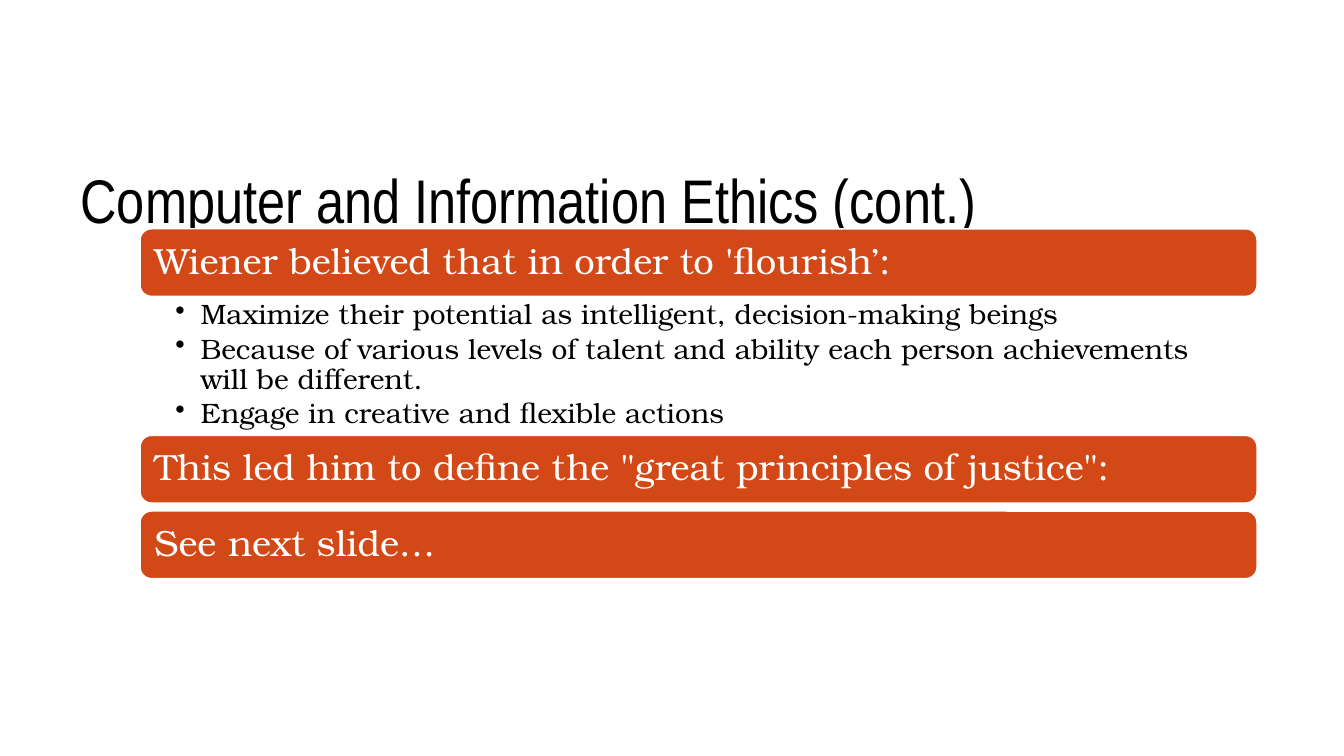
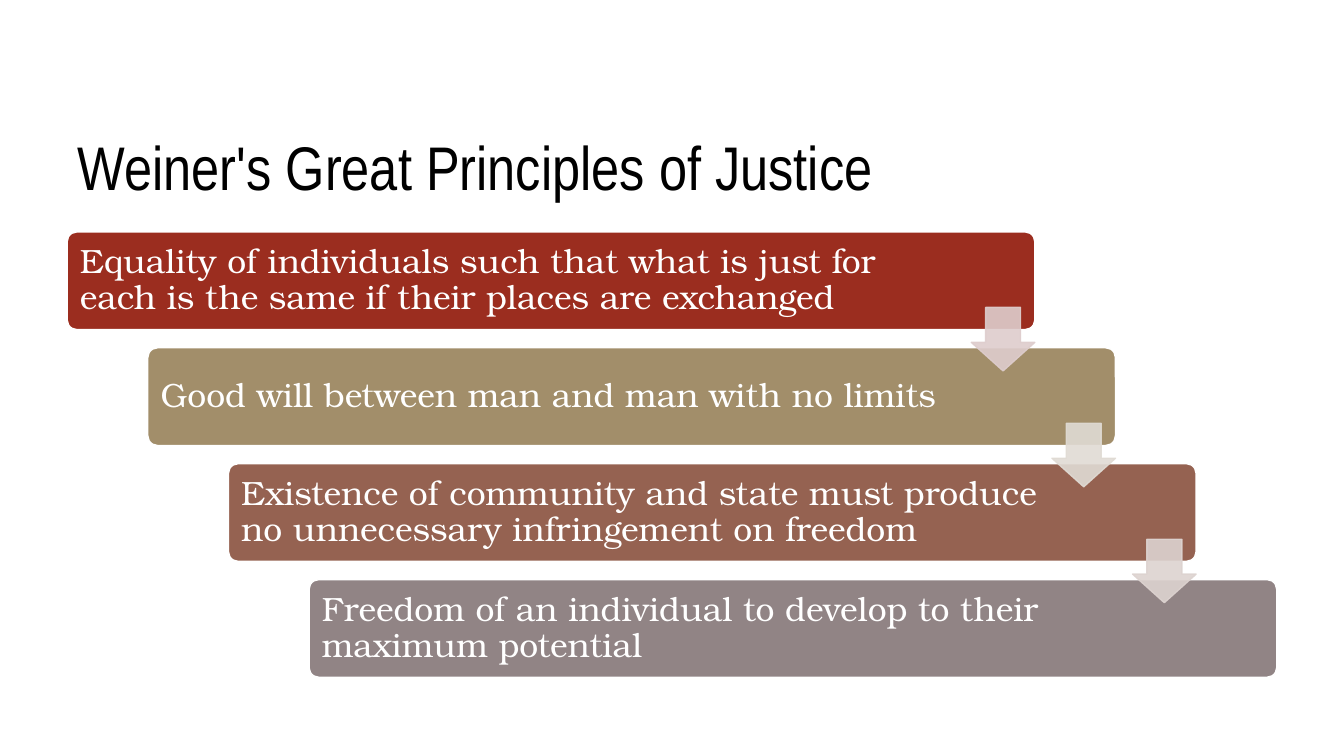
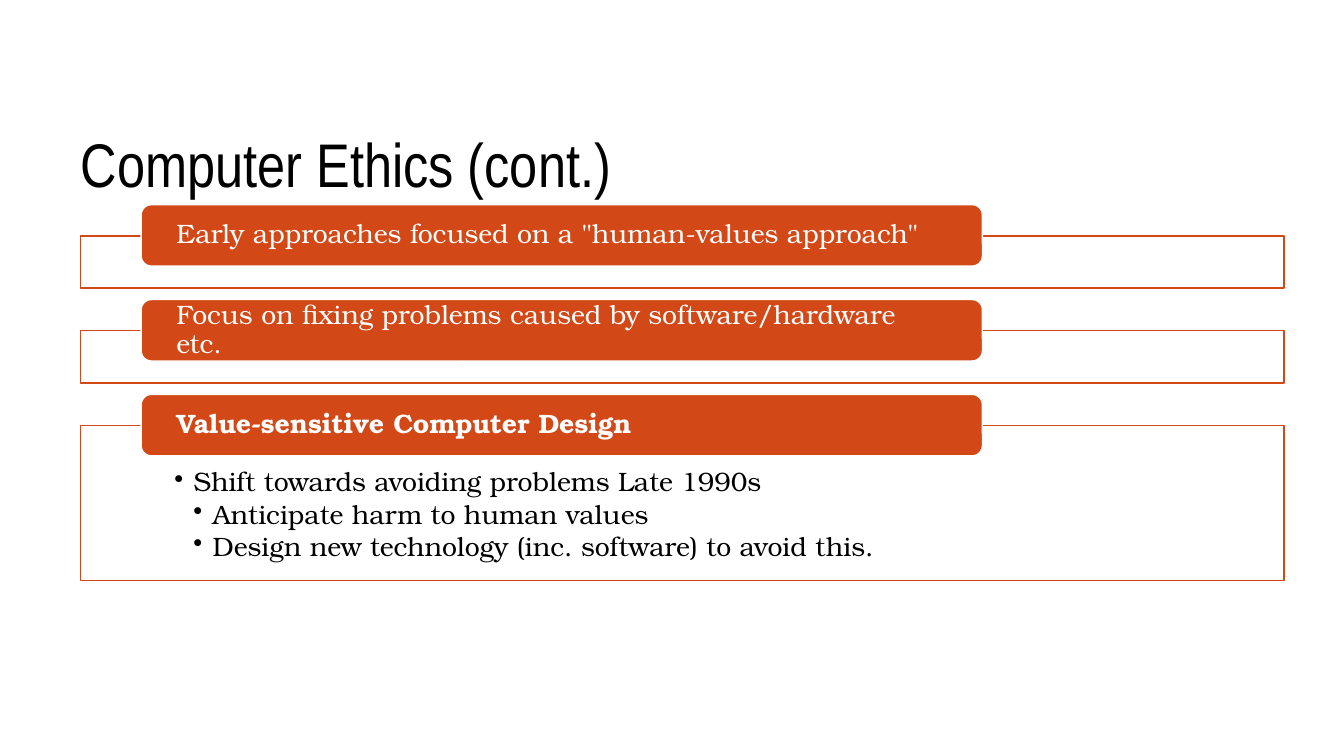
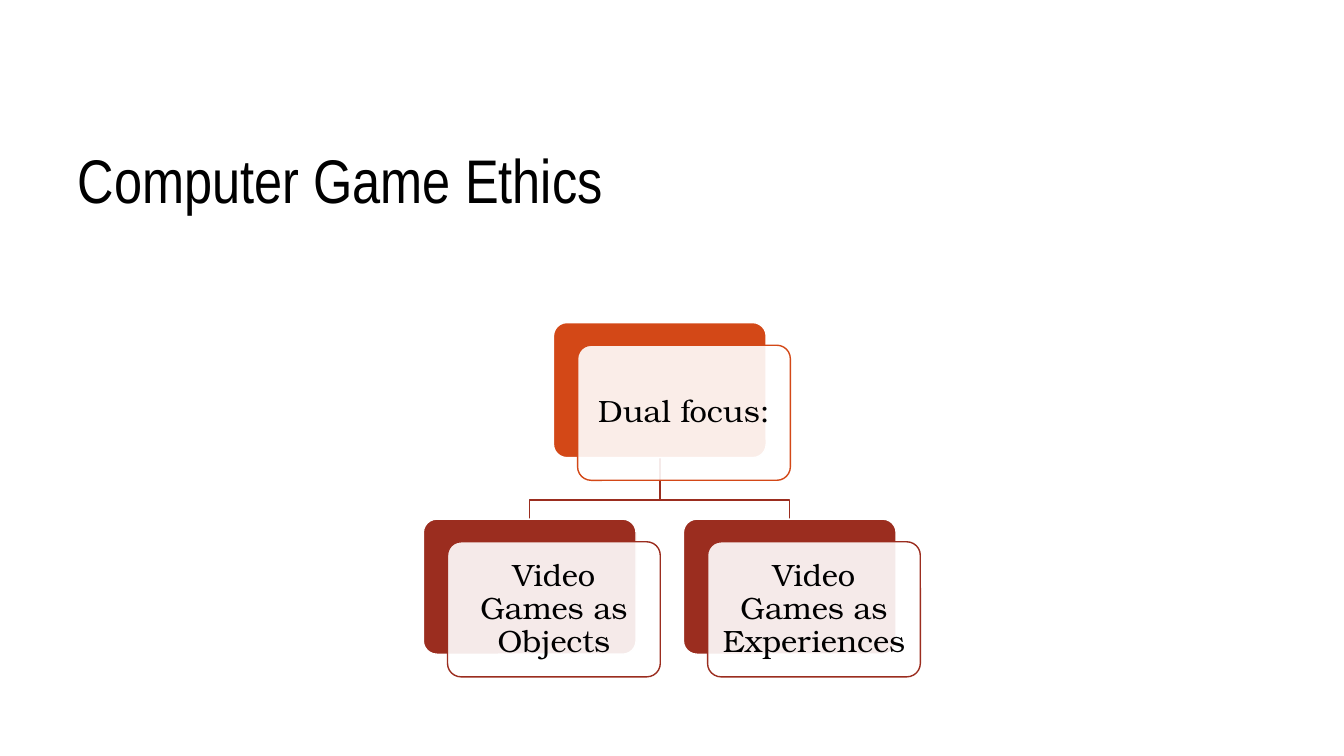
import lxml.etree
import pptx
import pptx.dml.color
import pptx.enum.shapes
import pptx.enum.text
import pptx.oxml.ns
import pptx.util

SHAPE = pptx.enum.shapes.MSO_SHAPE
ANCHOR = pptx.enum.text.MSO_ANCHOR
ALIGN = pptx.enum.text.PP_ALIGN
qn = pptx.oxml.ns.qn

SLIDE_WIDTH = pptx.util.Inches(13.33)
SLIDE_HEIGHT = pptx.util.Inches(7.5)
TITLE_FONT, BODY_FONT = "Arial Narrow", "TeX Gyre Bonum"
BLACK, WHITE, ORANGE, RED = "000000", "FFFFFF", "D34817", "9B2D1F"


def across(percent):
    return round(SLIDE_WIDTH * percent / 100)


def down(percent):
    return round(SLIDE_HEIGHT * percent / 100)


def place(left, top, width, height):
    """Turn percentages of the slide's size into lengths."""
    return across(left), down(top), across(width), down(height)


def paint(fill, color, opacity=100):
    fill.solid()
    fill.fore_color.rgb = pptx.dml.color.RGBColor.from_string(color)
    if opacity < 100:
        for node in fill._xPr.iter(qn("a:srgbClr")):
            alpha = lxml.etree.SubElement(node, qn("a:alpha"))
            alpha.set("val", str(opacity * 1000))


def add_block(page, kind, area, fill, line=WHITE, opacity=100, line_opacity=100, corner=None):
    block = page.shapes.add_shape(kind, *place(*area))
    block.shadow.inherit = False
    if corner is not None:
        block.adjustments[0] = corner
    paint(block.fill, fill, opacity)
    block.line.width = pptx.util.Pt(1)
    paint(block.line.fill, line, line_opacity)
    return block


def set_frame(box, insets, anchor):
    """Wrap the text; insets are left, top, right, bottom in inches."""
    frame = box.text_frame
    frame.word_wrap = True
    frame.vertical_anchor = anchor
    (frame.margin_left, frame.margin_top,
     frame.margin_right, frame.margin_bottom) = map(pptx.util.Inches, insets)
    return frame


def style(para, size, color, font=BODY_FONT, bold=False):
    for span in para.runs:
        span.font.name = font
        span.font.size = pptx.util.Pt(size)
        span.font.bold = bold
        span.font.color.rgb = pptx.dml.color.RGBColor.from_string(color)


def write(box, text, size, insets, color=WHITE, align=ALIGN.LEFT, bold=False):
    frame = set_frame(box, insets, ANCHOR.MIDDLE)
    frame.text = text
    para = frame.paragraphs[0]
    para.alignment = align
    para.line_spacing = 0.9
    style(para, size, color, bold=bold)


def write_bullets(box, items, size, insets, indent, gap):
    """Write (level, text) items, each level one indent deeper."""
    frame = set_frame(box, insets, ANCHOR.TOP)
    for index, (level, text) in enumerate(items):
        para = frame.add_paragraph() if index else frame.paragraphs[0]
        para.text = text
        properties = para._p.get_or_add_pPr()
        properties.set("marL", str(pptx.util.Inches(indent * level)))
        properties.set("indent", str(-pptx.util.Inches(indent)))
        lxml.etree.SubElement(properties, qn("a:buChar")).set("char", "•")
        para.alignment = ALIGN.LEFT
        para.line_spacing = 0.9
        para.space_after = pptx.util.Pt(gap)
        style(para, size, BLACK)


def add_title(page, text, area, anchor):
    box = page.shapes.add_textbox(*place(*area))
    frame = set_frame(box, (0, 0, 0, 0), anchor)
    frame.text = text
    style(frame.paragraphs[0], 44, BLACK, TITLE_FONT)


def build_flourish(page):
    add_title(page, "Computer and Information Ethics (cont.)", (6, 21.47, 86, 9.5), ANCHOR.TOP)
    left, width = 10.43, 83.1
    bars = [
        (30.27, "Wiener believed that in order to 'flourish’:"),
        (57.6, "This led him to define the \"great principles of justice\":"),
        (67.6, "See next slide…"),
    ]
    for top, text in bars:
        bar = add_block(page, SHAPE.ROUNDED_RECTANGLE, (left, top, width, 8.93), ORANGE)
        write(bar, text, 26, (0.11, 0.11, 0.11, 0.11))
    details = page.shapes.add_textbox(*place(left, 39.2, width, 18.4))
    write_bullets(details, [
        (1, "Maximize their potential as intelligent, decision-making beings"),
        (1, "Because of various levels of talent and ability each person achievements "
            "will be different."),
        (1, "Engage in creative and flexible actions"),
    ], 20, (0.35, 0.04, 0.2, 0.04), 0.25, 3)


def build_justice(page):
    add_title(page, "Weiner's Great Principles of Justice", (5.78, 8.8, 88.5, 18), ANCHOR.BOTTOM)
    steps = [
        ("9B2D1F", "DECDCD", "Equality of individuals such that what is just for each is "
                             "the same if their places are exchanged"),
        ("A28E6A", "E0DBD4", "Good will between man and man with no limits"),
        ("956251", "DDD3D0", "Existence of community and state must produce no unnecessary "
                             "infringement on freedom"),
        ("918485", None, "Freedom of an individual to develop to their maximum potential"),
    ]
    width, arrow_width = 72, 4.73
    arrows = []
    for index, (fill, arrow_fill, text) in enumerate(steps):
        left, top = 5 + 6 * index, 30.67 + 15.33 * index
        step = add_block(page, SHAPE.ROUNDED_RECTANGLE, (left, top, width, 12.93), fill,
                         corner=0.1)
        write(step, text, 24, (0.1, 0.1, 1.5, 0.1))
        if arrow_fill:
            arrows.append((arrow_fill, (left + width - arrow_width, top + 10, arrow_width, 8.4)))
    for fill, area in arrows:
        arrow = add_block(page, SHAPE.DOWN_ARROW, area, fill, fill, 90, 90, corner=0.55)
        arrow.adjustments[1] = 0.45


def build_approaches(page):
    add_title(page, "Computer Ethics (cont.)", (6, 16.67, 63, 9.5), ANCHOR.TOP)
    sections = [
        ("Early approaches focused on a \"human-values approach\"", 6.93, []),
        ("Focus on fixing problems caused by software/hardware etc.", 6.93, []),
        ("Value-sensitive Computer Design", 20.53, [
            (1, "Shift towards avoiding problems Late 1990s"),
            (2, "Anticipate harm to human values"),
            (2, "Design new technology (inc. software) to avoid this."),
        ]),
    ]
    for index, (heading, height, items) in enumerate(sections):
        top = 31.2 + 12.55 * index
        panel = add_block(page, SHAPE.RECTANGLE, (6, top, 89.55, height), WHITE, ORANGE, 90)
        if items:
            write_bullets(panel, items, 19, (0.93, 0.43, 0.93, 0.15), 0.19, 2.5)
        header = add_block(page, SHAPE.ROUNDED_RECTANGLE, (10.5, top - 4.13, 62.6, 8.13), ORANGE)
        write(header, heading, 19, (0.32, 0, 0.32, 0), bold=bool(items))


NODE_WIDTH, NODE_HEIGHT = 15.83, 17.87


def add_node(page, left, top, color, text):
    """Draw a coloured card with a translucent label card set off from it."""
    add_block(page, SHAPE.ROUNDED_RECTANGLE, (left, top, NODE_WIDTH, NODE_HEIGHT), color,
              corner=0.1)
    label = add_block(page, SHAPE.ROUNDED_RECTANGLE,
                      (left + 1.8, top + 3, NODE_WIDTH, NODE_HEIGHT), WHITE, color, 90,
                      corner=0.1)
    write(label, text, 22, (0.09, 0.09, 0.09, 0.09), BLACK, ALIGN.CENTER)


def add_branch(page, start, end, bend):
    """Draw a line down to the bend, across, and down to the end."""
    points = [(across(x), down(y)) for x, y in
              (start, (start[0], bend), (end[0], bend), end)]
    builder = page.shapes.build_freeform(*points[0])
    builder.add_line_segments(points[1:], close=False)
    branch = builder.convert_to_shape()
    branch.shadow.inherit = False
    branch.fill.background()
    branch.line.width = pptx.util.Pt(1)
    paint(branch.line.fill, RED)


def build_games(page):
    add_title(page, "Computer Game Ethics", (5.78, 8.8, 88.5, 19.73), ANCHOR.BOTTOM)
    root_left, root_top, child_top = 41.18, 42.67, 68.67
    children = [(31.5, "Video Games as Objects"), (50.85, "Video Games as Experiences")]
    half = NODE_WIDTH / 2
    for left, _ in children:
        add_branch(page, (root_left + half, root_top + NODE_HEIGHT),
                   (left + half, child_top), 66.13)
    add_node(page, root_left, root_top, ORANGE, "Dual focus:")
    for left, text in children:
        add_node(page, left, child_top, RED, text)


def main():
    deck = pptx.Presentation()
    deck.slide_width, deck.slide_height = SLIDE_WIDTH, SLIDE_HEIGHT
    for build in (build_flourish, build_justice, build_approaches, build_games):
        build(deck.slides.add_slide(deck.slide_layouts[6]))
    deck.save("out.pptx")


if __name__ == "__main__":
    main()
